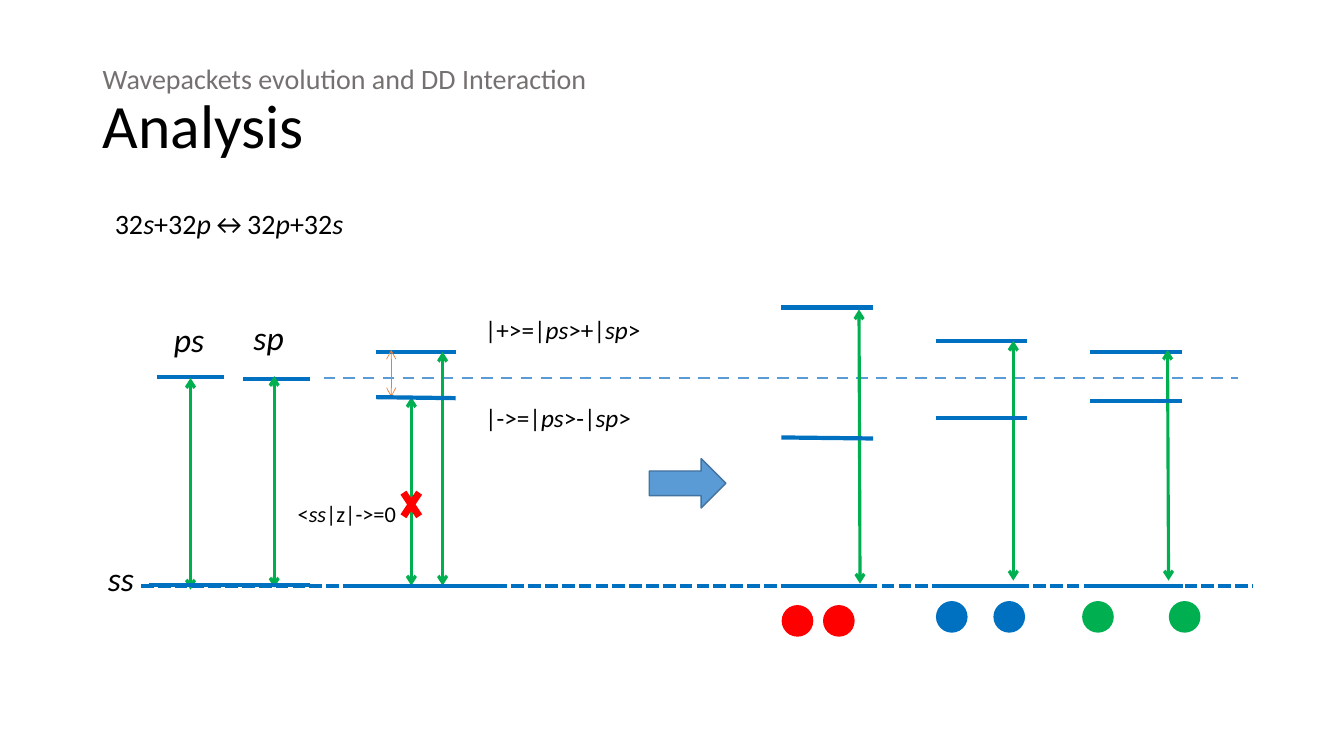
"""Build the slide on dipole-dipole level splitting of the ps and sp pair states."""
from lxml import etree
from pptx import Presentation
from pptx.dml.color import RGBColor
from pptx.enum.dml import MSO_LINE
from pptx.enum.shapes import MSO_CONNECTOR, MSO_SHAPE
from pptx.enum.text import MSO_ANCHOR, MSO_AUTO_SIZE, PP_ALIGN
from pptx.oxml.ns import qn
from pptx.util import Emu, Pt

PX = 9144
STRAIGHT = MSO_CONNECTOR.STRAIGHT
DASH, SYS_DASH = MSO_LINE.DASH, MSO_LINE.SQUARE_DOT
TOP, MIDDLE, BOTTOM = MSO_ANCHOR.TOP, MSO_ANCHOR.MIDDLE, MSO_ANCHOR.BOTTOM
LEFT, CENTER = PP_ALIGN.LEFT, PP_ALIGN.CENTER
GROW = MSO_AUTO_SIZE.SHAPE_TO_FIT_TEXT
CROSS, ARROW, CIRCLE = (MSO_SHAPE.MATH_MULTIPLY, MSO_SHAPE.RIGHT_ARROW,
                        MSO_SHAPE.FLOWCHART_CONNECTOR)
THEME = {
    "font": "Calibri",
    "black": RGBColor.from_string("000000"),
    "grey": RGBColor.from_string("767171"),
    "level": RGBColor.from_string("0070C0"),
    "guide": RGBColor.from_string("5B9BD5"),
    "edge": RGBColor.from_string("43739E"),
    "green": RGBColor.from_string("00B050"),
    "orange": RGBColor.from_string("ED7D31"),
    "red": RGBColor.from_string("FF0000"),
    "title": 44, "kicker": 20, "reaction": 20, "state": 24, "ket": 18, "note": 16,
}

prs = Presentation()
prs.slide_width, prs.slide_height = Emu(1333 * PX), Emu(750 * PX)
s = prs.slides.add_slide(prs.slide_layouts[6])


def add_line(x1, y1, x2, y2, color="level", width=3, dash=None, heads=False):
    """Draw a straight line, with an open arrowhead at both ends if heads is set."""
    c = s.shapes.add_connector(STRAIGHT, *[Emu(v * PX) for v in (x1, y1, x2, y2)])
    c.line.color.rgb = THEME[color]
    c.line.width = Pt(width)
    if dash is not None:
        c.line.dash_style = dash
    if heads:
        ln = c.line._get_or_add_ln()
        for end in ("a:headEnd", "a:tailEnd"):
            etree.SubElement(ln, qn(end), type="arrow")
    etree.SubElement(c._element.spPr, qn("a:effectLst"))


def add_shape(kind, x, y, w, h, fill, edge=None):
    """Draw a filled preset shape, outlined only if an edge colour is given."""
    sp = s.shapes.add_shape(kind, *[Emu(v * PX) for v in (x, y, w, h)])
    sp.shadow.inherit = False
    sp.fill.solid()
    sp.fill.fore_color.rgb = THEME[fill]
    if edge:
        sp.line.color.rgb = THEME[edge]
        sp.line.width = Pt(1)
    else:
        sp.line.fill.background()


title = s.shapes.add_textbox(*[Emu(v * PX) for v in (92, 40, 1150, 145)])
tf = title.text_frame
tf.word_wrap = True
tf.vertical_anchor = MIDDLE
p = tf.paragraphs[0]
p.text = "Wavepackets evolution and DD Interaction\vAnalysis"
p.line_spacing = 0.9
for r, size, color in zip(p.runs, ("kicker", "title"), ("grey", "black")):
    r.font.name = THEME["font"]
    r.font.size = Pt(THEME[size])
    r.font.color.rgb = THEME[color]

labels = [
    ("32*s*+32*p*↔32*p*+32*s*", 104, 200, 249, 44, "reaction", False, LEFT, TOP),
    ("|+>=|*ps*>+|*sp*>", 452, 307, 212, 40, "ket", True, CENTER, TOP),
    ("|->=|*ps*>-|*sp*>", 452, 394, 203, 40, "ket", True, CENTER, TOP),
    ("*ss*", 88, 549, 64, 50, "state", True, CENTER, TOP),
    ("*ps*", 162, 311, 51, 50, "state", False, CENTER, BOTTOM),
    ("*sp*", 241, 309, 51, 50, "state", False, CENTER, BOTTOM),
    ("<*ss*|z|->=0", 282, 491, 124, 37, "note", False, CENTER, TOP),
]
for text, x, y, w, h, size, wrap, align, anchor in labels:
    tf = s.shapes.add_textbox(*[Emu(v * PX) for v in (x, y, w, h)]).text_frame
    tf.word_wrap = wrap
    tf.auto_size = GROW
    tf.vertical_anchor = anchor
    p = tf.paragraphs[0]
    p.alignment = align
    for i, part in enumerate(text.split("*")):
        if part:
            r = p.add_run()
            r.text = part
            r.font.name = THEME["font"]
            r.font.size = Pt(THEME[size])
            r.font.color.rgb = THEME["black"]
            r.font.italic = i % 2 == 1

add_line(321, 375, 1228, 375, "guide", 2, DASH)
add_line(140, 581, 1242, 581, dash=SYS_DASH)

for x1, y1, x2, y2 in [(156, 374, 222, 374), (241, 376, 307, 376),
                       (373, 349, 452, 349)]:
    add_line(x1, y1, x2, y2)
add_line(388, 347, 388, 394, "orange", 0.5, heads=True)
for x, top, bottom in [(408, 394, 581), (439, 349, 581),
                       (189, 375, 585), (272, 373, 583)]:
    add_line(x, top, x, bottom, "green", 2.25, heads=True)
add_line(373, 394, 452, 395)
add_shape(CROSS, 393, 478, 30, 45, "red")
add_line(148, 580, 307, 580)
add_line(344, 581, 503, 581)

add_shape(ARROW, 644, 455, 76, 49, "guide", "edge")

pairs = [
    (775, 305, 434, 435, (852, 307, 853, 579), "red", (776, 817), 601),
    (928, 338, 415, 415, (1005, 338, 1005, 576), "level", (929, 986), 597),
    (1081, 349, 398, 398, (1158, 347, 1159, 576), "green", (1074, 1160), 597),
]
for x, upper, lower1, lower2, transition, color, atoms, atom_y in pairs:
    add_line(x, upper, x + 91, upper)
    add_line(x, 581, x + 92, 581)
    add_line(*transition, "green", 2.25, heads=True)
    add_line(x, lower1, x + 91, lower2)
    for atom_x in atoms:
        add_shape(CIRCLE, atom_x, atom_y, 30, 30, color, color)

prs.save("out.pptx")
